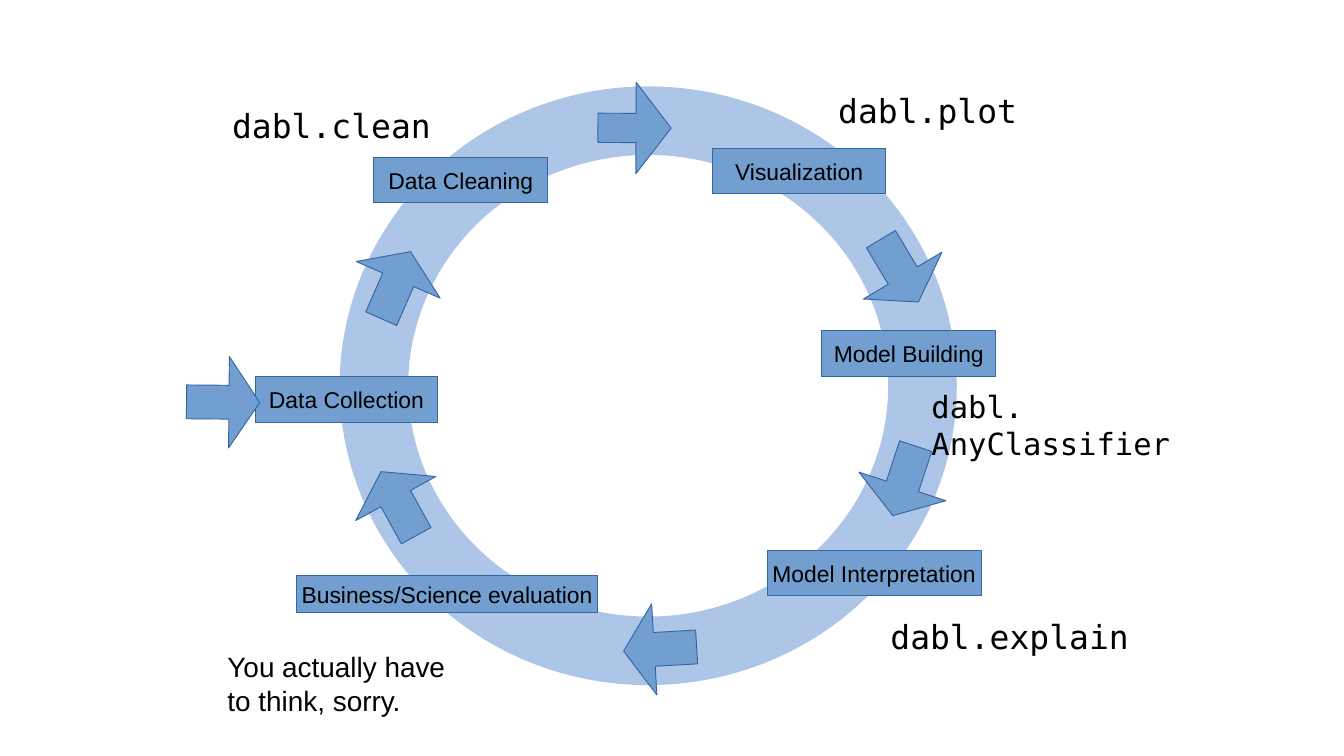
from dataclasses import dataclass
from typing import NamedTuple

from pptx import Presentation
from pptx.dml.color import RGBColor
from pptx.enum.shapes import MSO_SHAPE
from pptx.enum.text import MSO_ANCHOR, PP_ALIGN
from pptx.shapes.autoshape import Shape
from pptx.slide import Slide
from pptx.text.text import _Paragraph as Para
from pptx.util import Inches, Pt


@dataclass(frozen=True)
class Theme:
    ring: RGBColor = RGBColor(0xAD, 0xC5, 0xE7)
    fill: RGBColor = RGBColor(0x72, 0x9F, 0xCF)
    edge: RGBColor = RGBColor(0x34, 0x65, 0xA4)
    ink: RGBColor = RGBColor(0, 0, 0)
    sans: str = "Arial"
    mono: str = "DejaVu Sans Mono"
    stage: int = 18
    think: int = 22
    model: int = 24
    code: int = 26
    thin: float = 0.75
    thick: int = 54


THEME = Theme()


class Box(NamedTuple):
    left: float
    top: float
    width: float
    height: float


class Stage(NamedTuple):
    text: str
    box: Box


class Arrow(NamedTuple):
    left: float
    top: float
    turn: float
    shaft: float = 0.37
    head: float = 0.42


class Note(NamedTuple):
    text: str
    box: Box
    size: int = THEME.code
    font: str = THEME.mono


RING = Box(4.09, 1.32, 6, 5.8)
STAGES = [
    Stage("Data Collection", Box(2.79, 4.12, 2, 0.5)),
    Stage("Data Cleaning", Box(4.09, 1.72, 1.9, 0.5)),
    Stage("Visualization", Box(7.79, 1.62, 1.9, 0.5)),
    Stage("Model Building", Box(8.99, 3.62, 1.9, 0.5)),
    Stage("Model Interpretation", Box(8.39, 6.02, 2.34, 0.5)),
    Stage("Business/Science evaluation", Box(3.24, 6.3, 3.3, 0.4)),
]
ARROWS = [
    Arrow(1.94, 4, 90.5),
    Arrow(3.83, 2.72, 23.6),
    Arrow(6.44, 1, 90.2, shaft=0.32, head=0.48),
    Arrow(9.34, 2.56, 149.2),
    Arrow(9.39, 4.86, 198.2),
    Arrow(6.72, 6.7, 266.7),
    Arrow(3.86, 5.11, 331.2),
]
NOTES = [
    Note("dabl.clean", Box(2.44, 1.1, 2.38, 0.43)),
    Note("dabl.plot", Box(9.07, 0.94, 2.57, 0.76)),
    Note("dabl.\nAnyClassifier", Box(10.09, 4.2, 3.26, 1.17), THEME.model),
    Note("dabl.explain", Box(9.64, 6.69, 3.12, 0.81)),
    Note("You actually have to think, sorry.", Box(2.39, 7.06, 2.8, 0.94),
         THEME.think, THEME.sans),
]


def write(para: Para, text: str, size: int, font: str) -> None:
    para.text = text
    para.font.size = Pt(size)
    para.font.name = font
    para.font.color.rgb = THEME.ink


def add_solid(slide: Slide, kind: MSO_SHAPE, box: Box) -> Shape:
    """Add a shape in the blue fill and thin edge shared by stages and arrows."""
    shape = slide.shapes.add_shape(kind, *map(Inches, box))
    shape.shadow.inherit = False
    shape.fill.solid()
    shape.fill.fore_color.rgb = THEME.fill
    shape.line.color.rgb = THEME.edge
    shape.line.width = Pt(THEME.thin)
    return shape


def add_ring(slide: Slide) -> None:
    ring = slide.shapes.add_shape(MSO_SHAPE.OVAL, *map(Inches, RING))
    ring.shadow.inherit = False
    ring.fill.background()
    ring.line.color.rgb = THEME.ring
    ring.line.width = Pt(THEME.thick)


def add_stage(slide: Slide, stage: Stage) -> None:
    frame = add_solid(slide, MSO_SHAPE.RECTANGLE, stage.box).text_frame
    frame.word_wrap = False
    frame.vertical_anchor = MSO_ANCHOR.MIDDLE
    para = frame.paragraphs[0]
    write(para, stage.text, THEME.stage, THEME.sans)
    para.alignment = PP_ALIGN.CENTER


def add_arrow(slide: Slide, arrow: Arrow) -> None:
    box = Box(arrow.left, arrow.top, 1, 0.8)
    shape = add_solid(slide, MSO_SHAPE.UP_ARROW, box)
    shape.adjustments[0] = arrow.shaft
    shape.adjustments[1] = arrow.head
    shape.rotation = arrow.turn


def add_note(slide: Slide, note: Note) -> None:
    frame = slide.shapes.add_textbox(*map(Inches, note.box)).text_frame
    frame.word_wrap = True
    write(frame.paragraphs[0], note.text, note.size, note.font)


def main() -> None:
    deck = Presentation()
    deck.slide_width = Inches(14.7)
    deck.slide_height = Inches(8.27)
    slide = deck.slides.add_slide(deck.slide_layouts[6])
    add_ring(slide)
    for stage in STAGES:
        add_stage(slide, stage)
    for arrow in ARROWS:
        add_arrow(slide, arrow)
    for note in NOTES:
        add_note(slide, note)
    deck.save("out.pptx")


if __name__ == "__main__":
    main()
